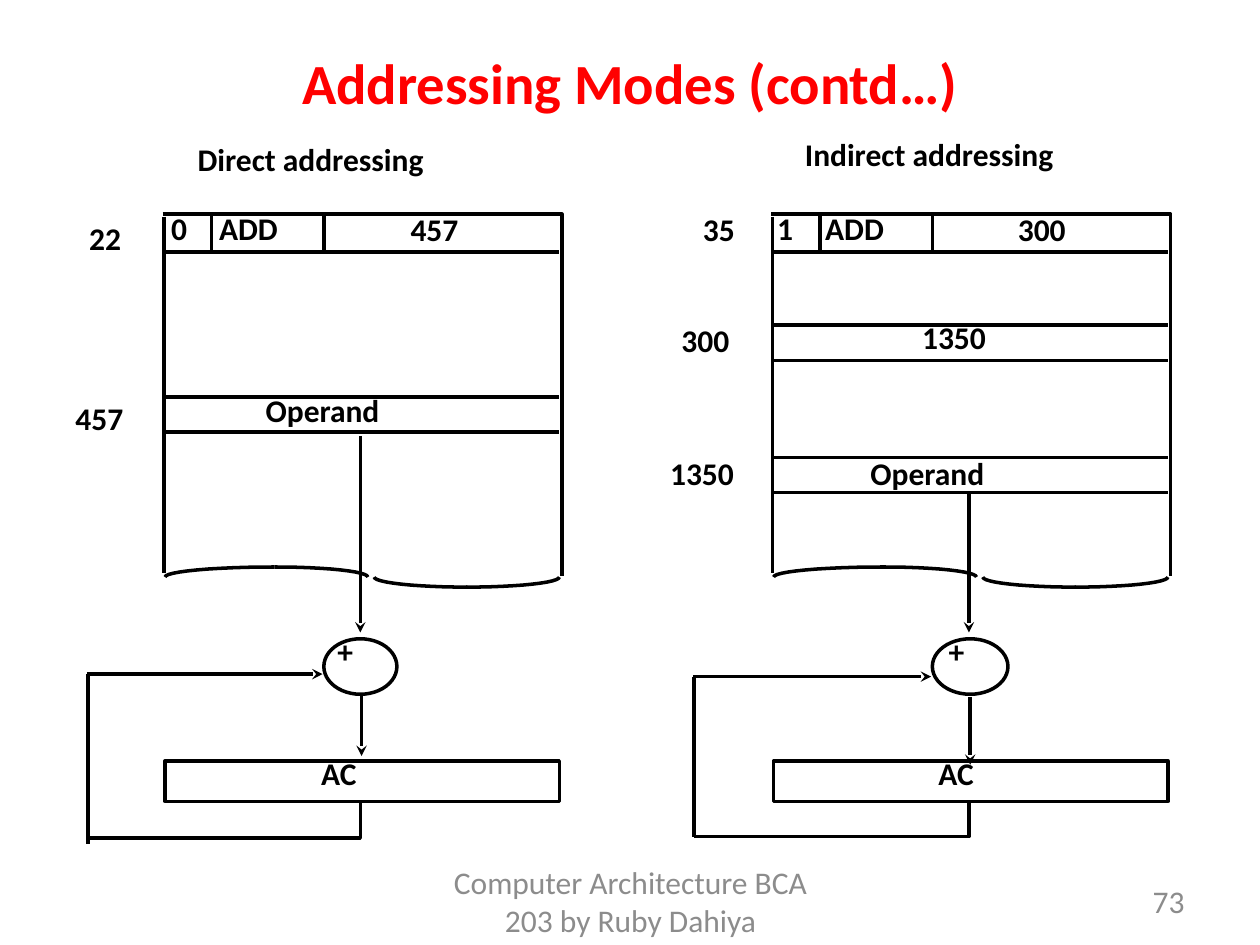
from math import cos, radians, sin

from lxml.etree import SubElement
from pptx import Presentation
from pptx.dml.color import RGBColor
from pptx.enum.shapes import MSO_CONNECTOR, MSO_SHAPE
from pptx.enum.text import MSO_ANCHOR, MSO_AUTO_SIZE, PP_ALIGN
from pptx.oxml.ns import qn
from pptx.util import Inches, Pt

BLACK = RGBColor(0x00, 0x00, 0x00)
RED = RGBColor(0xFF, 0x00, 0x00)
GREY = RGBColor(0x8C, 0x8C, 0x8C)
FONT = "Calibri"

# Content: frame texts are (text, left, top, width, height, size, colour, bold, align)
FRAME_TEXTS = [
    ("Addressing Modes (contd…)", 0.5, 0.3, 9, 0.7, 32.4, RED, True, PP_ALIGN.CENTER),
    ("Computer Architecture BCA 203 by Ruby Dahiya", 3.42, 6.95, 3.17, 0.4,
     18, GREY, False, PP_ALIGN.CENTER),
    ("73", 7.17, 6.95, 2.33, 0.4, 18, GREY, False, PP_ALIGN.RIGHT),
]

# Labels are (text, offset from the memory's left edge, top)
PANELS = [
    {
        "left": 1.31, "cells": [3.15], "adder_width": 0.58,
        "feedback": (-0.61, 5.35, 6.65, 6.7), "ac_arrow": (5.51, 6.0),
        "operand_arrow_top": 3.46,
        "labels": [
            ("Direct addressing", 0.16, 1.1), ("22", -0.7, 1.72),
            ("0", -0.05, 1.64), ("ADD", 0.33, 1.64), ("457", 1.85, 1.65),
            ("457", -0.81, 3.15), ("Operand", 0.7, 3.09),
            ("+", 1.27, 5.0), ("AC", 1.14, 5.97),
        ],
    },
    {
        "left": 6.14, "cells": [2.58, 3.63], "adder_width": 0.6,
        "feedback": (-0.63, 5.37, 6.64, 6.64), "ac_arrow": (5.53, 6.07),
        "operand_arrow_top": 3.92,
        "labels": [
            ("Indirect addressing", 0.15, 1.06), ("35", -0.66, 1.65),
            ("1", -0.07, 1.64), ("ADD", 0.31, 1.64), ("300", 1.84, 1.65),
            ("300", -0.83, 2.53), ("1350", 1.08, 2.51),
            ("1350", -0.92, 3.59), ("Operand", 0.67, 3.59),
            ("+", 1.29, 5.0), ("AC", 1.21, 5.97),
        ],
    },
]
LABEL_WIDTHS = {
    "Direct addressing": 2.33, "Indirect addressing": 2.53, "Operand": 1.24,
    "ADD": 0.75, "AC": 0.56, "+": 0.35, "0": 0.34, "1": 0.34, "22": 0.48,
    "35": 0.48, "300": 0.62, "457": 0.62, "1350": 0.76,
}

# Memory geometry, shared by both panels
MEMORY_WIDTH = 3.13
MEMORY_TOP, INSTRUCTION_BOTTOM, WAVE_Y = 1.7, 2.0, 4.58
CELL_HEIGHT, WAVE_HEIGHT = 0.28, 0.08
DIVIDERS = [0.37, 1.26]
# Quarter arcs of the torn edge: start angle, centre offset, horizontal radius
WAVE_ARCS = [(180, 0.87, 0.87), (270, 0.87, 0.74), (90, 2.4, 0.74), (0, 2.39, 0.74)]
ARC_STEPS = 12
OPERAND_X, ADDER_X = 1.55, 1.26
ADDER_TOP, ADDER_HEIGHT = 5.07, 0.44
AC_TOP, AC_HEIGHT = 6.04, 0.32

prs = Presentation()
prs.slide_width, prs.slide_height = Inches(10), Inches(7.5)
slide = prs.slides.add_slide(prs.slide_layouts[6])
shapes = slide.shapes


def add_text(text, left, top, width, height, size, colour, bold, align=PP_ALIGN.LEFT):
    box = shapes.add_textbox(Inches(left), Inches(top), Inches(width), Inches(height))
    paragraph = box.text_frame.paragraphs[0]
    paragraph.alignment = align
    run = paragraph.add_run()
    run.text = text
    run.font.name, run.font.size, run.font.bold = FONT, Pt(size), bold
    run.font.color.rgb = colour
    return box.text_frame


def add_label(text, left, top):
    frame = add_text(text, left, top, LABEL_WIDTHS[text], 0.37, 18, BLACK, True)
    frame.word_wrap = False
    frame.auto_size = MSO_AUTO_SIZE.SHAPE_TO_FIT_TEXT
    frame.paragraphs[0].line_spacing = 0.9


def style_line(line):
    line.color.rgb = BLACK
    line.width = Pt(2)


def add_line(x1, y1, x2, y2, arrow=False):
    connector = shapes.add_connector(
        MSO_CONNECTOR.STRAIGHT, Inches(x1), Inches(y1), Inches(x2), Inches(y2))
    style_line(connector.line)
    if arrow:
        SubElement(connector.line._get_or_add_ln(), qn("a:tailEnd"), type="stealth")
    SubElement(connector._element.spPr, qn("a:effectLst"))


def outline(shape):
    shape.shadow.inherit = False
    shape.fill.background()
    style_line(shape.line)


def add_path(points):
    start, *rest = [(Inches(x), Inches(y)) for x, y in points]
    builder = shapes.build_freeform(*start)
    builder.add_line_segments(rest, close=False)
    outline(builder.convert_to_shape())


def add_outline(kind, left, top, width, height):
    outline(shapes.add_shape(kind, Inches(left), Inches(top), Inches(width), Inches(height)))


def draw_memory(panel):
    left = panel["left"]
    right = left + MEMORY_WIDTH
    row_lines = [INSTRUCTION_BOTTOM]
    for cell_top in panel["cells"]:
        row_lines += [cell_top, cell_top + CELL_HEIGHT]
    for y in row_lines:
        add_line(left, y, right, y)
    for offset in DIVIDERS:
        add_line(left + offset, MEMORY_TOP, left + offset, INSTRUCTION_BOTTOM)

    # Sides, top and torn bottom edge
    add_line(left - 0.01, 1.72, left - 0.01, 4.55)
    add_path([(left - 0.02, MEMORY_TOP), (right + 0.02, MEMORY_TOP), (right + 0.02, 4.57)])
    for start, centre, radius in WAVE_ARCS:
        angles = [radians(start + 90 * i / ARC_STEPS) for i in range(ARC_STEPS + 1)]
        add_path([(left + centre + radius * cos(a), WAVE_Y + WAVE_HEIGHT * sin(a))
                  for a in angles])


def draw_accumulator(panel):
    left = panel["left"]
    add_outline(MSO_SHAPE.OVAL, left + ADDER_X, ADDER_TOP, panel["adder_width"], ADDER_HEIGHT)
    add_outline(MSO_SHAPE.RECTANGLE, left, AC_TOP, MEMORY_WIDTH, AC_HEIGHT)

    # Operand to adder, adder to AC
    operand_x = left + OPERAND_X
    add_line(operand_x, panel["operand_arrow_top"], operand_x, 5.02, arrow=True)
    ac_from, ac_to = panel["ac_arrow"]
    add_line(operand_x + 0.01, ac_from, operand_x + 0.01, ac_to, arrow=True)

    # AC back to adder
    offset, loop_top, loop_bottom, side_bottom = panel["feedback"]
    loop_x = left + offset
    add_path([(operand_x, AC_TOP + AC_HEIGHT), (operand_x, loop_bottom), (loop_x, loop_bottom)])
    add_line(loop_x, loop_top, loop_x, side_bottom)
    add_line(loop_x - 0.01, loop_top, left + ADDER_X - 0.01, loop_top, arrow=True)


# Title, footer and page number
for frame_text in FRAME_TEXTS:
    text_frame = add_text(*frame_text)
    text_frame.word_wrap = True
    text_frame.vertical_anchor = MSO_ANCHOR.MIDDLE

# Direct and indirect diagrams
for panel in PANELS:
    draw_memory(panel)
    draw_accumulator(panel)
    for text, offset, top in panel["labels"]:
        add_label(text, panel["left"] + offset, top)

prs.save("out.pptx")
